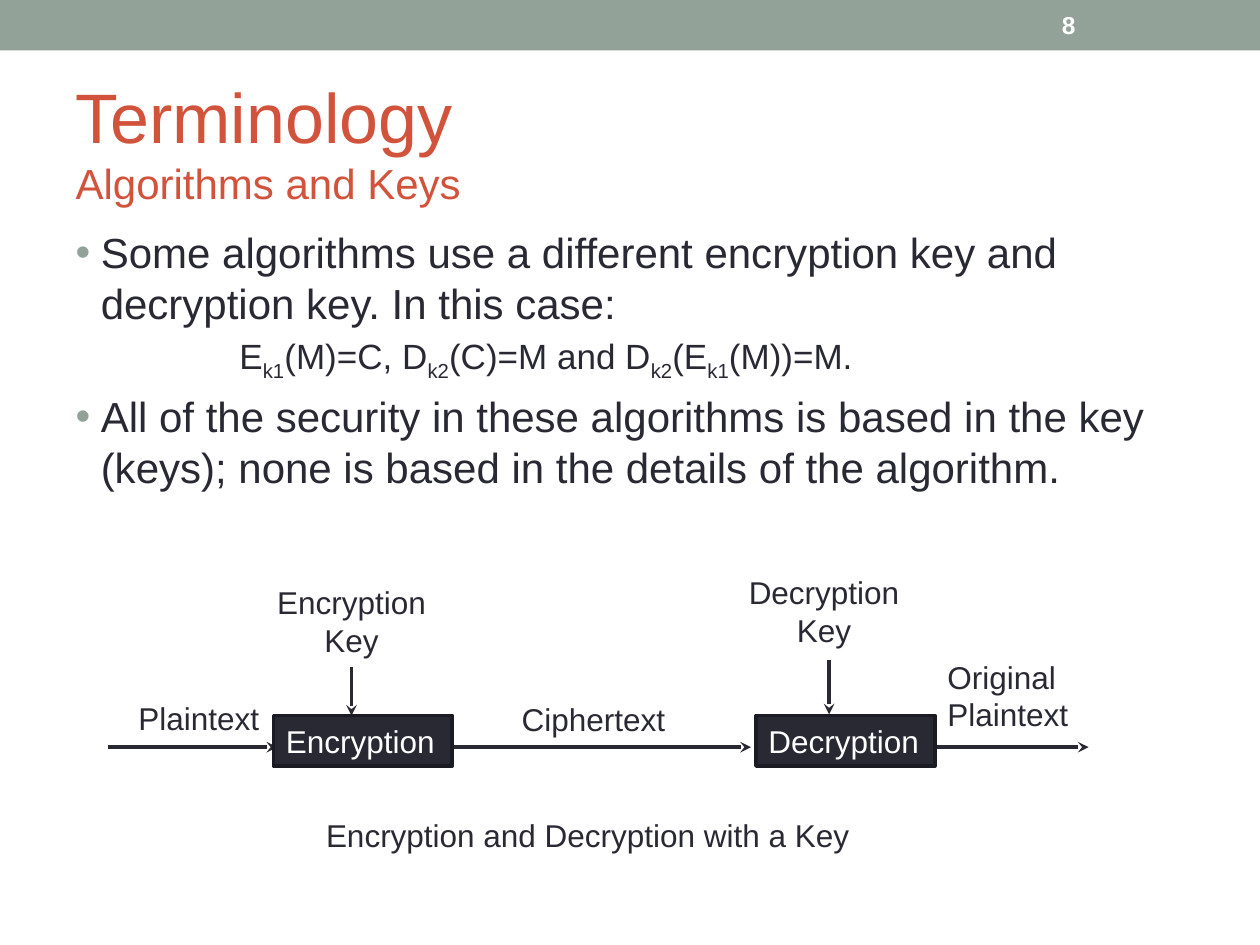
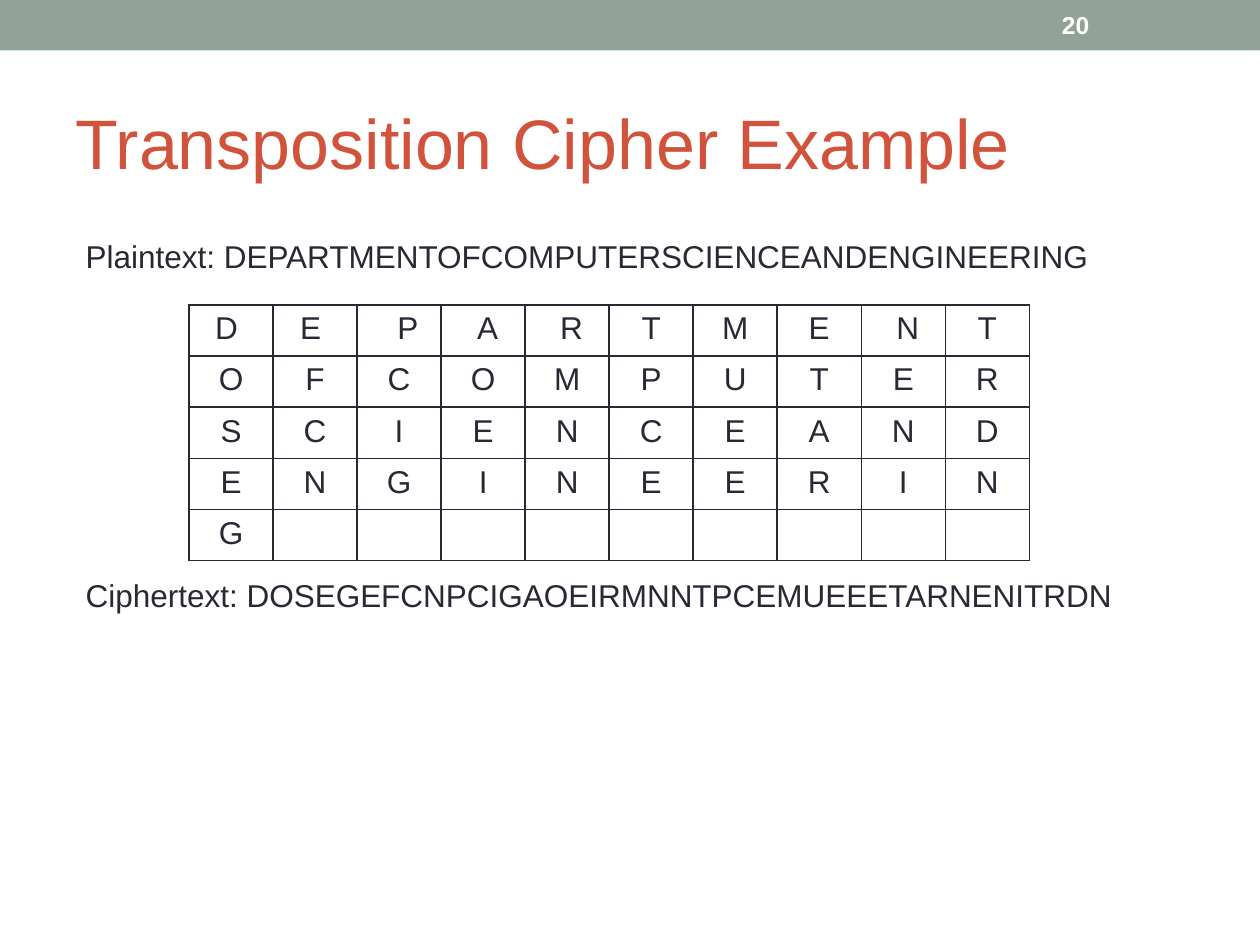
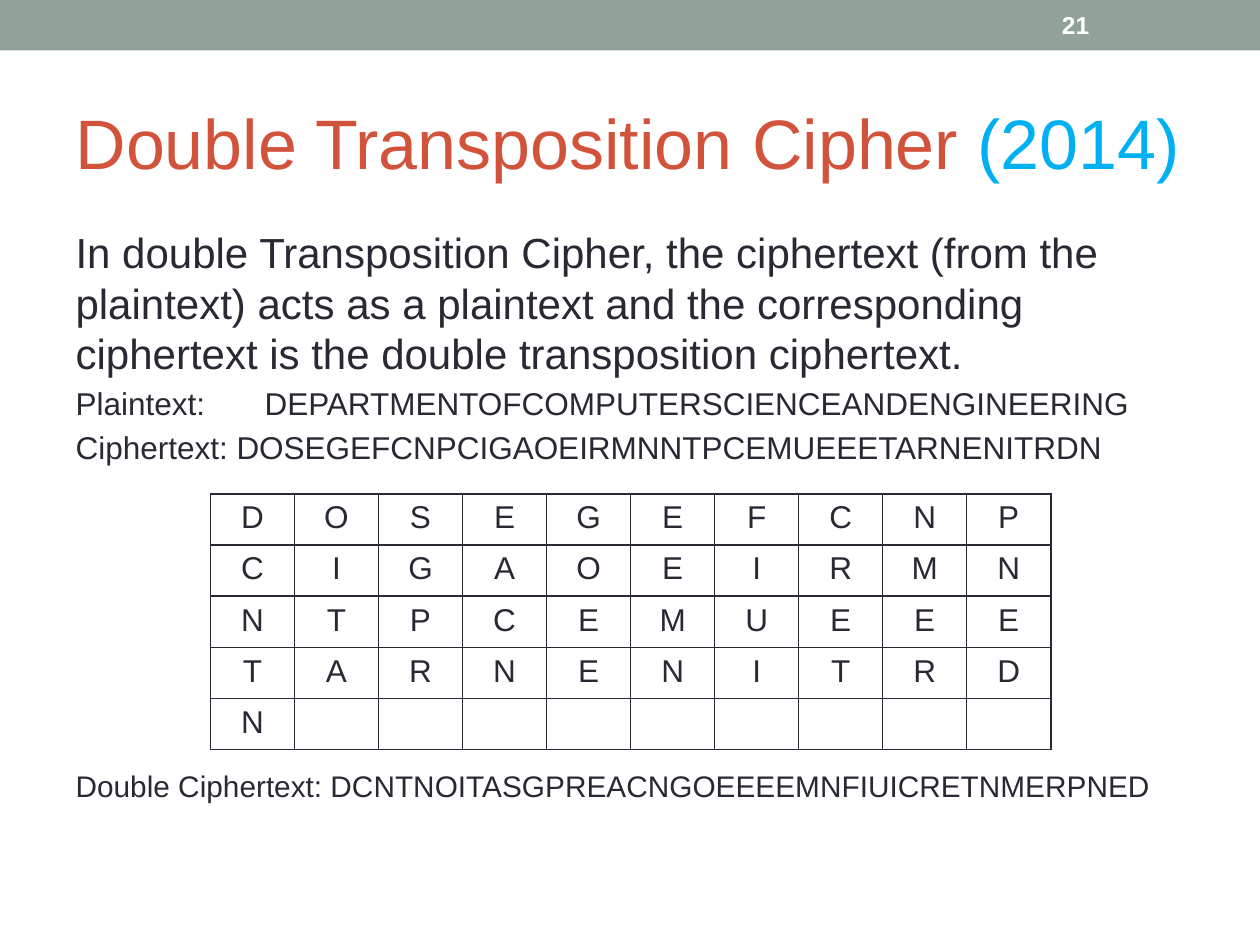
from dataclasses import dataclass

from lxml import etree
from pptx import Presentation
from pptx import util as u
from pptx.dml.color import RGBColor
from pptx.enum import shapes, text
from pptx.oxml.ns import qn

Inches, Pt = u.Inches, u.Pt


@dataclass(frozen=True)
class Theme:
    font: str = "Arial"
    band: str = "93A299"
    title: str = "D2533C"
    accent: str = "00B0F0"
    ink: str = "292934"
    box_edge: str = "1B1B23"
    light: str = "FFFFFF"
    title_size: float = 40
    body_size: float = 24
    formula_size: float = 20
    label_size: float = 18
    small_size: float = 17
    number_size: float = 14
    arrow_width: float = 2.08
    grid_width: float = 1


THEME = Theme()


@dataclass(frozen=True)
class Span:
    text: str
    size: float = THEME.body_size
    color: str = THEME.ink
    subscript: bool = False
    new_line: bool = False


@dataclass(frozen=True)
class Line:
    spans: tuple[Span, ...]
    before: float = 0
    margin: float = 0
    bullet: bool = False
    level: int = 0
    tab: float = 0


@dataclass(frozen=True)
class Label:
    text: str
    left: float
    top: float
    width: float = 1.42
    height: float = 0.4
    centered: bool = True


@dataclass(frozen=True)
class Arrow:
    x1: float
    y1: float
    x2: float
    y2: float


PLAINTEXT = "DEPARTMENTOFCOMPUTERSCIENCEANDENGINEERING"
COLUMNS = 10
ROWS = 5
SPACE = 0.07

ARROWS = (
    Arrow(0.86, 5.93, 2.2, 5.93),
    Arrow(3.58, 5.93, 5.96, 5.93),
    Arrow(7.42, 5.93, 8.64, 5.93),
    Arrow(2.79, 5.29, 2.79, 5.68),
    Arrow(6.58, 5.24, 6.58, 5.67),
)
PROCESSES = (
    Label("Encryption", 2.17, 5.68, centered=False),
    Label("Decryption", 6, 5.68, centered=False),
)
LABELS = (
    Label("Ciphertext", 4, 5.51),
    Label("Decryption\vKey", 5.83, 4.5, height=0.71),
    Label("Encryption\vKey", 2.08, 4.58, height=0.71),
    Label("Plaintext", 1, 5.5, width=1.17, centered=False),
    Label("Original\nPlaintext", 7.42, 5.17, height=0.71, centered=False),
    Label("Encryption and Decryption with a Key", 0.83, 6.43, width=7.67),
)


def rgb(color: str) -> RGBColor:
    return RGBColor.from_string(color)


def add_xml(parent, tag: str, **attributes: str):
    return etree.SubElement(parent, qn(tag), attributes)


def style_run(run, size: float, color: str, bold: bool = False) -> None:
    run.font.name = THEME.font
    run.font.size = Pt(size)
    run.font.bold = bold
    run.font.color.rgb = rgb(color)


def write_spans(para, spans: tuple[Span, ...]) -> None:
    for span in spans:
        if span.new_line:
            para.add_line_break()
            line_break = para._p.findall(qn("a:br"))[-1]
            add_xml(line_break, "a:rPr", sz=str(span.size * 100))
        run = para.add_run()
        run.text = span.text
        style_run(run, span.size, span.color)
        if span.subscript:
            run.font._element.set("baseline", "-25000")


def write_label(frame, label: Label, color: str) -> None:
    frame.word_wrap = True
    frame.text = label.text
    for para in frame.paragraphs:
        para.alignment = text.PP_ALIGN.CENTER if label.centered else text.PP_ALIGN.LEFT
        for run in para.runs:
            style_run(run, THEME.label_size, color)


def place(shape, left: float, top: float, width: float, height: float) -> None:
    shape.left, shape.top = Inches(left), Inches(top)
    shape.width, shape.height = Inches(width), Inches(height)


def add_box(page, left: float, top: float, width: float, height: float, fill: str):
    box = page.shapes.add_shape(
        shapes.MSO_SHAPE.RECTANGLE,
        Inches(left), Inches(top), Inches(width), Inches(height),
    )
    box.shadow.inherit = False
    box.fill.solid()
    box.fill.fore_color.rgb = rgb(fill)
    box.line.fill.background()
    return box


def add_text_box(page, left: float, top: float, width: float, height: float):
    return page.shapes.add_textbox(
        Inches(left), Inches(top), Inches(width), Inches(height)
    )


def add_page(deck, number: int, title: tuple[Span, ...]):
    page = deck.slides.add_slide(deck.slide_layouts[1])
    add_box(page, 0, 0, 10, 0.4, THEME.band)

    heading = page.shapes.title
    place(heading, 0.5, 0.58, 9, 1.08)
    frame = heading.text_frame
    frame.auto_size = text.MSO_AUTO_SIZE.NONE
    frame.vertical_anchor = text.MSO_ANCHOR.MIDDLE
    frame.paragraphs[0].alignment = text.PP_ALIGN.LEFT
    write_spans(frame.paragraphs[0], title)

    number_frame = add_text_box(page, 8.33, 0.02, 1.17, 0.36).text_frame
    number_frame.word_wrap = True
    number_frame.vertical_anchor = text.MSO_ANCHOR.MIDDLE
    number_frame.text = str(number)
    style_run(
        number_frame.paragraphs[0].runs[0], THEME.number_size, THEME.light, bold=True
    )
    return page


def fill_body(page, lines: tuple[Line, ...], left: float = 0.5, top: float = 1.75) -> None:
    body = page.placeholders[1]
    place(body, left, top, 9, 5.33)
    frame = body.text_frame
    frame.auto_size = text.MSO_AUTO_SIZE.NONE
    for index, line in enumerate(lines):
        para = frame.add_paragraph() if index else frame.paragraphs[0]
        para.level = line.level
        para.space_before = Pt(line.before)
        properties = para._p.get_or_add_pPr()
        properties.set("marL", str(Inches(line.margin)))
        properties.set("indent", str(Inches(-line.margin if line.bullet else 0)))
        if line.bullet:
            add_xml(add_xml(properties, "a:buClr"), "a:srgbClr", val=THEME.band)
            add_xml(properties, "a:buFont", typeface=THEME.font)
            add_xml(properties, "a:buChar", char="•")
        else:
            add_xml(properties, "a:buNone")
        if line.tab:
            tabs = add_xml(properties, "a:tabLst")
            add_xml(tabs, "a:tab", pos=str(Inches(line.tab)), algn="l")
        write_spans(para, line.spans)


def add_arrow(page, arrow: Arrow) -> None:
    connector = page.shapes.add_connector(
        shapes.MSO_CONNECTOR.STRAIGHT,
        Inches(arrow.x1), Inches(arrow.y1), Inches(arrow.x2), Inches(arrow.y2),
    )
    connector.line.color.rgb = rgb(THEME.ink)
    connector.line.width = Pt(THEME.arrow_width)
    properties = connector._element.spPr
    add_xml(properties.find(qn("a:ln")), "a:tailEnd", type="stealth")
    add_xml(properties, "a:effectLst")


def border_cell(cell) -> None:
    properties = cell._tc.get_or_add_tcPr()
    for index, side in enumerate(("a:lnL", "a:lnR", "a:lnT", "a:lnB")):
        edge = etree.Element(qn(side), w=str(Pt(THEME.grid_width)))
        add_xml(add_xml(edge, "a:solidFill"), "a:srgbClr", val=THEME.ink)
        properties.insert(index, edge)


def add_letter_grid(
    page, letters: str, left: float, top: float, nudges: tuple[int, ...] = ()
) -> None:
    width, height = Inches(6.67), Inches(2.03)
    table = page.shapes.add_table(
        ROWS, COLUMNS, Inches(left), Inches(top), width, height
    ).table
    table.first_row = table.horz_banding = False
    for column in table.columns:
        column.width = width // COLUMNS
    for row in table.rows:
        row.height = height // ROWS
    for index, cell in enumerate(table.iter_cells()):
        cell.fill.background()
        border_cell(cell)
        if index >= len(letters):
            continue
        cell.text = letters[index]
        para = cell.text_frame.paragraphs[0]
        para.alignment = text.PP_ALIGN.CENTER
        style_run(para.runs[0], THEME.label_size, THEME.ink)
        nudge = nudges[index] if index < len(nudges) else 0
        cell.margin_left = Inches(0.1 + SPACE * max(nudge, 0))
        cell.margin_right = Inches(0.1 + SPACE * max(-nudge, 0))


def transpose(letters: str) -> str:
    return "".join(letters[column::COLUMNS] for column in range(COLUMNS))


def title_span(words: str) -> Span:
    return Span(words, THEME.title_size, THEME.title)


def label_line(words: str, before: float = 0, tab: float = 0) -> Line:
    return Line((Span(words, THEME.label_size),), before=before, tab=tab)


def build_terminology(deck) -> None:
    page = add_page(deck, 8, (
        title_span("Terminology"),
        Span("Algorithms and Keys", THEME.body_size, THEME.title, new_line=True),
    ))
    pieces = ("E", "k1", "(M)=C, D", "k2", "(C)=M and D", "k2", "(E", "k1", "(M))=M.")
    formula = tuple(
        Span(piece, THEME.formula_size, subscript=index % 2 == 1)
        for index, piece in enumerate(pieces)
    )
    fill_body(page, (
        Line(
            (Span("Some algorithms use a different encryption key and "
                  "decryption key. In this case:"),),
            margin=0.2, bullet=True,
        ),
        Line(formula, before=4, margin=1.3, level=1),
        Line(
            (Span("All of the security in these algorithms is based in the key "
                  "(keys); none is based in the details of the algorithm."),),
            before=4.8, margin=0.2, bullet=True,
        ),
    ))
    for arrow in ARROWS:
        add_arrow(page, arrow)
    for process in PROCESSES:
        box = add_box(
            page, process.left, process.top, process.width, process.height, THEME.ink
        )
        box.line.color.rgb = rgb(THEME.box_edge)
        box.line.width = Pt(THEME.arrow_width)
        box.text_frame.vertical_anchor = text.MSO_ANCHOR.TOP
        write_label(box.text_frame, process, THEME.light)
    for label in LABELS:
        box = add_text_box(page, label.left, label.top, label.width, label.height)
        write_label(box.text_frame, label, THEME.ink)


def build_transposition(deck) -> None:
    page = add_page(deck, 20, (title_span("Transposition Cipher Example"),))
    fill_body(page, (
        label_line(f"Plaintext: {PLAINTEXT}"),
        label_line(f"Ciphertext: {transpose(PLAINTEXT)}", before=172.3),
    ), left=0.58, top=1.83)
    add_letter_grid(page, PLAINTEXT, 1.5, 2.42, (-1, -1, 2, 1, 1, 0, 0, 0, 1, 0))


def build_double_transposition(deck) -> None:
    page = add_page(deck, 21, (
        title_span("Double Transposition Cipher "),
        Span("(2014)", THEME.title_size, THEME.accent),
    ))
    ciphertext = transpose(PLAINTEXT)
    double = Span(f"Double Ciphertext: {transpose(ciphertext)}", THEME.small_size)
    fill_body(page, (
        Line((Span("In double Transposition Cipher, the ciphertext (from the "
                   "plaintext) acts as a plaintext and the corresponding "
                   "ciphertext is the double transposition ciphertext."),)),
        label_line(f"Plaintext:\t{PLAINTEXT}", before=3.6, tab=1.3),
        label_line(f"Ciphertext: {ciphertext}", before=3.6),
        Line((double,), before=172.1),
    ))
    add_letter_grid(page, ciphertext, 1.67, 3.92)


def main() -> None:
    deck = Presentation()
    deck.slide_width, deck.slide_height = Inches(10), Inches(7.5)
    build_terminology(deck)
    build_transposition(deck)
    build_double_transposition(deck)
    deck.save("out.pptx")


if __name__ == "__main__":
    main()
